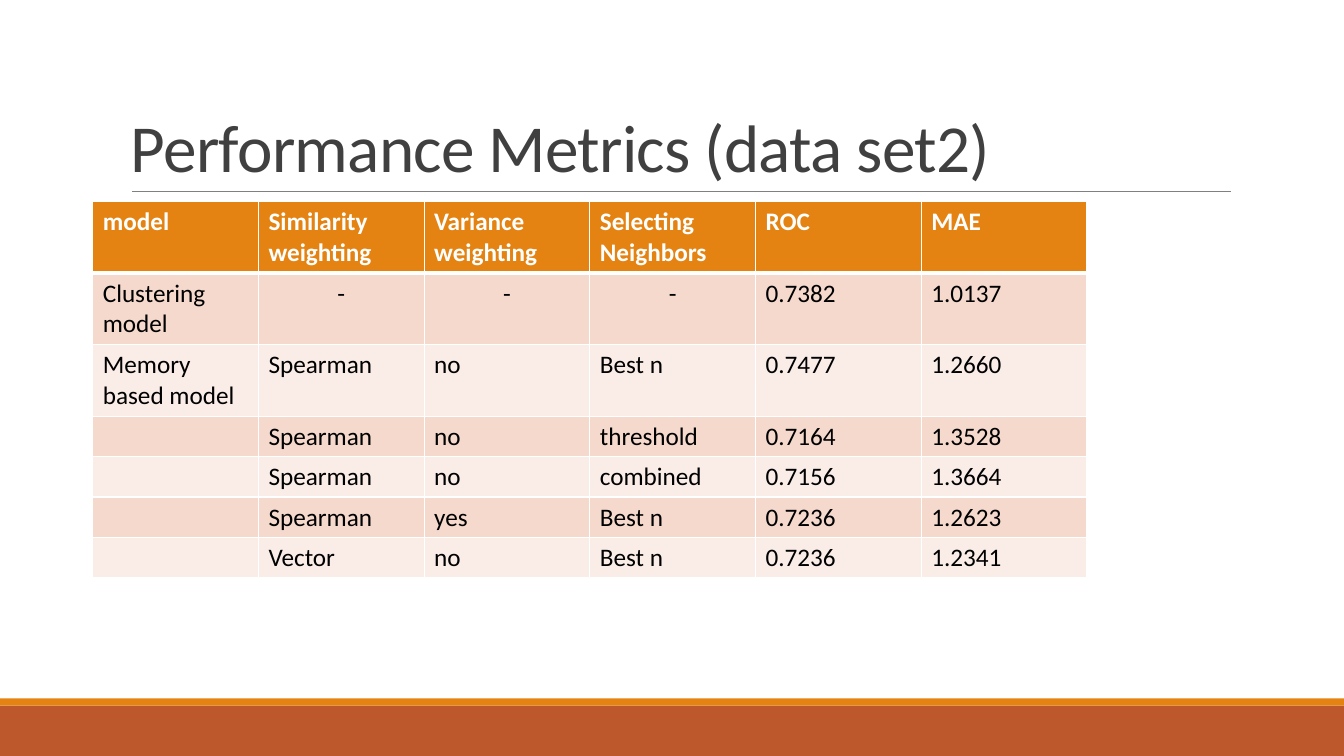
from lxml.etree import SubElement
from pptx import Presentation
from pptx.dml.color import RGBColor
from pptx.enum.shapes import MSO_CONNECTOR, MSO_SHAPE
from pptx.enum.text import MSO_ANCHOR, PP_ALIGN
from pptx.oxml.ns import qn
from pptx.util import Inches, Pt

FONT = "Calibri"
WHITE = RGBColor(0xFF, 0xFF, 0xFF)
BLACK = RGBColor(0x00, 0x00, 0x00)
TITLE_GRAY = RGBColor(0x40, 0x40, 0x40)
RULE_GRAY = RGBColor(0x80, 0x80, 0x80)
ORANGE = RGBColor(0xE4, 0x83, 0x12)
RUST = RGBColor(0xBD, 0x58, 0x2C)
BAND_DARK = RGBColor(0xF5, 0xD9, 0xCC)
BAND_LIGHT = RGBColor(0xFA, 0xED, 0xE7)

METRICS = [
    ["model", "Similarity weighting", "Variance weighting", "Selecting\nNeighbors", "ROC", "MAE"],
    ["Clustering model", "-", "-", "-", "0.7382", "1.0137"],
    ["Memory based model", "Spearman", "no", "Best n", "0.7477", "1.2660"],
    ["", "Spearman", "no", "threshold", "0.7164", "1.3528"],
    ["", "Spearman", "no", "combined", "0.7156", "1.3664"],
    ["", "Spearman", "yes", "Best n", "0.7236", "1.2623"],
    ["", "Vector", "no", "Best n", "0.7236", "1.2341"],
]
ROW_HEIGHTS = [0.71] * 3 + [0.4] * 4


def add_run(p, text, size, color, bold=False):
    r = p.add_run()
    r.text = text
    r.font.name = FONT
    r.font.size = Pt(size)
    r.font.bold = bold
    r.font.color.rgb = color
    return r


def add_bar(s, x, y, w, h, color):
    sp = s.shapes.add_shape(MSO_SHAPE.RECTANGLE, Inches(x), Inches(y), Inches(w), Inches(h))
    sp.shadow.inherit = False
    sp.fill.solid()
    sp.fill.fore_color.rgb = color
    sp.line.fill.background()


def add_footer(s, x, y, w, h):
    stripe = 0.07
    add_bar(s, x, y + stripe, w, h - stripe, RUST)
    add_bar(s, x, y, w, stripe, ORANGE)


def add_title(s, x, y, w, h, text):
    rule_x, rule_y = Inches(x + 0.11), Inches(y + h)
    rule = s.shapes.add_connector(MSO_CONNECTOR.STRAIGHT, rule_x, rule_y, Inches(x + w + 0.01), rule_y)
    rule.line.color.rgb = RULE_GRAY
    rule.line.width = Pt(0.5)
    SubElement(rule._element.spPr, qn("a:effectLst"))
    tf = s.shapes.add_textbox(Inches(x), Inches(y), Inches(w), Inches(h)).text_frame
    tf.word_wrap = True
    tf.vertical_anchor = MSO_ANCHOR.BOTTOM
    p = tf.paragraphs[0]
    p.line_spacing = 0.85
    r = add_run(p, text, 48, TITLE_GRAY)
    r.font._element.set("spc", "-50")


def set_borders(cell, bottom):
    tc_pr = cell._tc.get_or_add_tcPr()
    for side, width in (("L", 1), ("R", 1), ("T", 1), ("B", bottom)):
        ln = SubElement(tc_pr, qn(f"a:ln{side}"), w=str(Pt(width)))
        fill = SubElement(ln, qn("a:solidFill"))
        SubElement(fill, qn("a:srgbClr"), val=str(WHITE))


def fill_cell(cell, text, background, color, header):
    set_borders(cell, 3 if header else 1)
    cell.fill.solid()
    cell.fill.fore_color.rgb = background
    tf = cell.text_frame
    for i, line in enumerate(text.split("\n")):
        p = tf.add_paragraph() if i else tf.paragraphs[0]
        p.font.size = Pt(18)
        if line == "-":
            p.alignment = PP_ALIGN.CENTER
        if line:
            add_run(p, line, 18, color, header)


def add_metrics_table(s, x, y, w):
    columns = len(METRICS[0])
    table = s.shapes.add_table(len(METRICS), columns, Inches(x), Inches(y),
                               Inches(w), Inches(sum(ROW_HEIGHTS))).table
    for column in table.columns:
        column.width = Inches(w / columns)
    for i, values in enumerate(METRICS):
        table.rows[i].height = Inches(ROW_HEIGHTS[i])
        header = i == 0
        background = ORANGE if header else BAND_DARK if i % 2 else BAND_LIGHT
        for j, text in enumerate(values):
            fill_cell(table.cell(i, j), text, background, WHITE if header else BLACK, header)


def add_metrics_slide(prs):
    s = prs.slides.add_slide(prs.slide_layouts[6])
    add_footer(s, 0, 6.93, 13.33, 0.57)
    add_title(s, 1.2, 0.31, 11, 1.59, "Performance Metrics (data set2)")
    add_metrics_table(s, 0.92, 2, 9.86)


prs = Presentation()
prs.slide_width = Inches(13.33)
prs.slide_height = Inches(7.5)
add_metrics_slide(prs)
prs.save("out.pptx")
